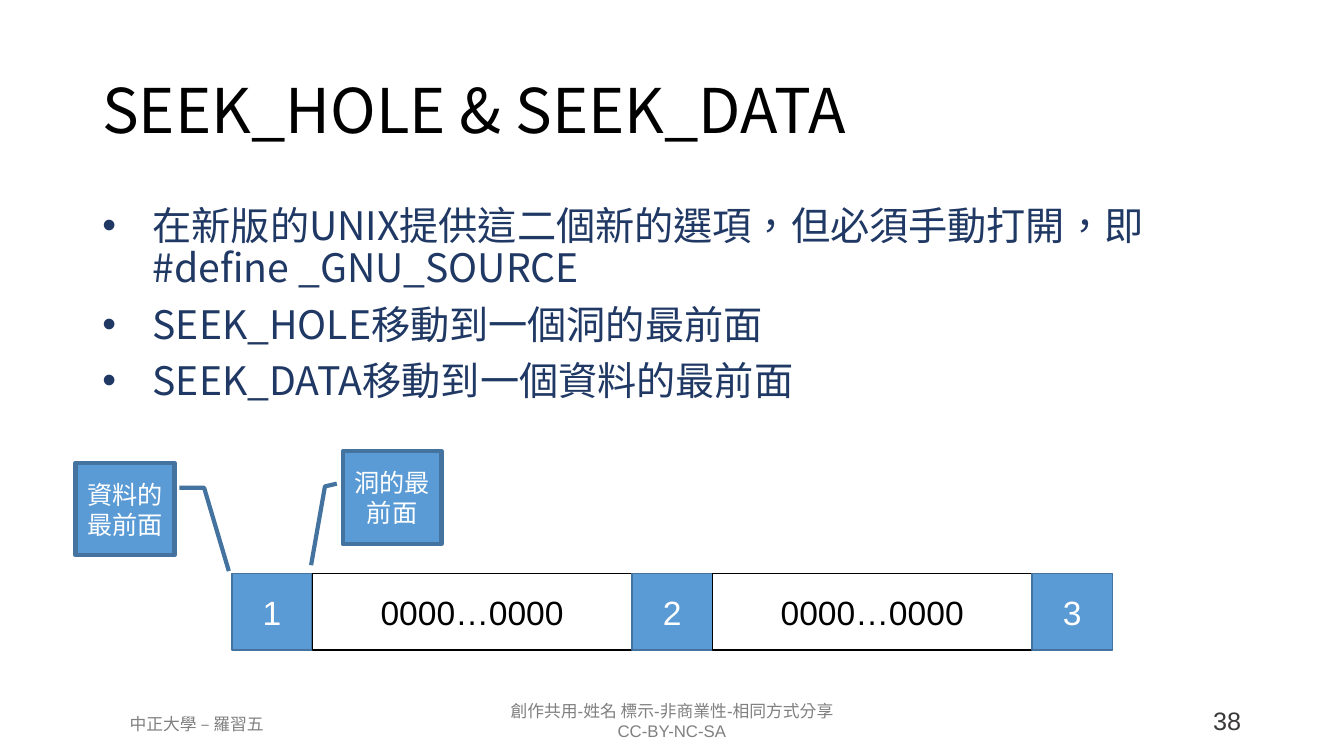
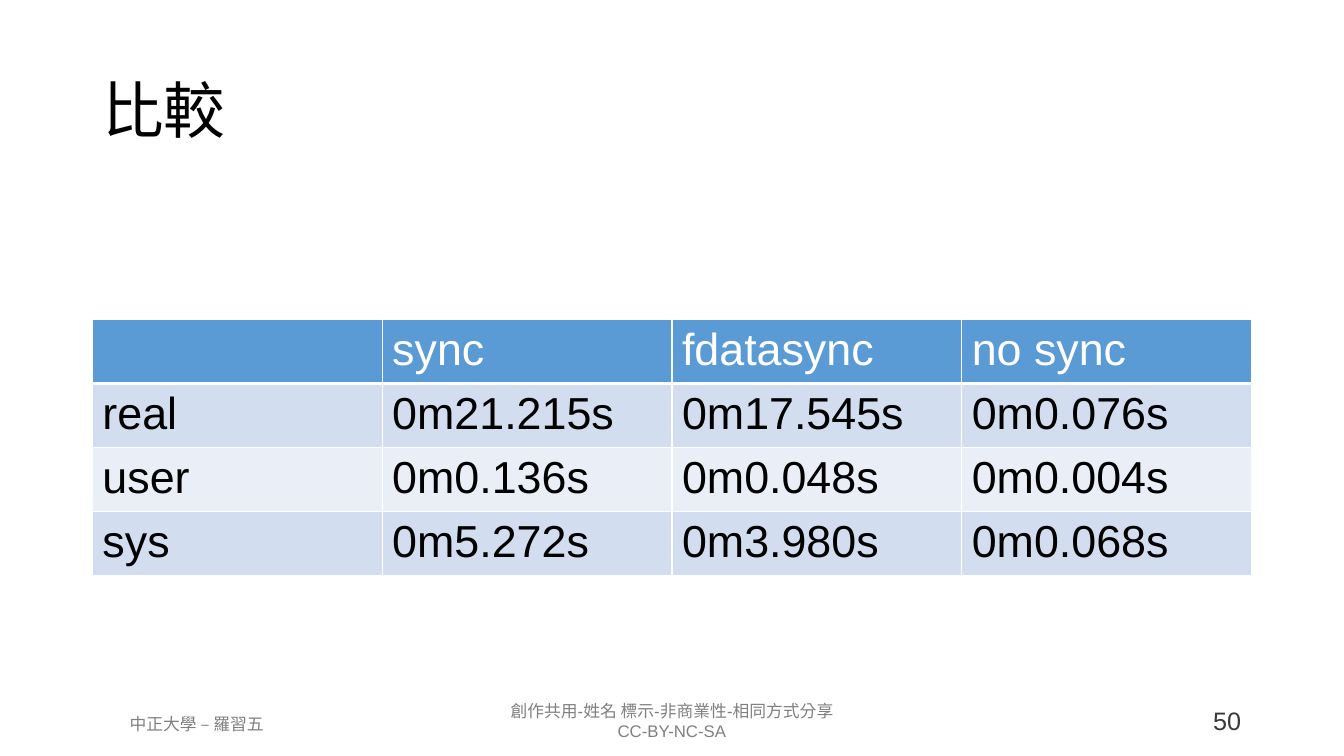
import pptx
import pptx.dml.color
import pptx.enum.lang
import pptx.enum.shapes
import pptx.enum.text
import pptx.oxml
import pptx.oxml.ns
import pptx.util

Pt = pptx.util.Pt
SHAPES = pptx.enum.shapes.MSO_SHAPE
ALIGN = pptx.enum.text.PP_ALIGN
ANCHOR = pptx.enum.text.MSO_ANCHOR

COLORS = {
    "white": "FFFFFF",
    "black": "000000",
    "footer": "808080",
    "number": "3B3838",
    "body": "203864",
    "accent": "5B9BD5",
    "outline": "43739E",
    "band_dark": "D2DEEF",
    "band_light": "EAEFF7",
}
LATIN_FONT = "Arial"
CJK_FONT = "Noto Sans CJK SC"
LEFT, WIDTH = 66, 828


def rgb(name):
    return pptx.dml.color.RGBColor.from_string(COLORS[name])


def add_element(parent, tag, **attributes):
    element = pptx.oxml.ns.qn(tag)
    child = parent.makeelement(element, attributes)
    parent.append(child)
    return child


def write_text(frame, text, size=18, color="black", font=LATIN_FONT, align=None,
               anchor=ANCHOR.TOP, line_spacing=None, space_before=0, bullet=None, indent=0):
    """Write one paragraph for each line of text."""
    frame.word_wrap = True
    frame.vertical_anchor = anchor
    for index, line in enumerate(text.split("\n")):
        paragraph = frame.paragraphs[0] if index == 0 else frame.add_paragraph()
        if bullet:
            properties = paragraph._p.get_or_add_pPr()
            properties.set("marL", str(Pt(indent)))
            properties.set("indent", str(-Pt(indent)))
            add_element(properties, "a:buFont", typeface=LATIN_FONT)
            add_element(properties, "a:buChar", char=bullet)
        if align is not None:
            paragraph.alignment = align
        if line_spacing:
            paragraph.line_spacing = line_spacing
        if index and space_before:
            paragraph.space_before = Pt(space_before)
        run = paragraph.add_run()
        run.text = line
        run.font.size = Pt(size)
        run.font.color.rgb = rgb(color)
        run.font.language_id = pptx.enum.lang.MSO_LANGUAGE_ID.TRADITIONAL_CHINESE
        run.font.name = font
        add_element(run._r.get_or_add_rPr(), "a:ea", typeface=CJK_FONT)


def add_text(slide, box, text, **text_format):
    shape = slide.shapes.add_textbox(*map(Pt, box))
    write_text(shape.text_frame, text, **text_format)


def add_block(shapes, kind, box, text, fill, line, line_width, **text_format):
    shape = shapes.add_shape(kind, *map(Pt, box))
    shape.shadow.inherit = False
    shape.fill.solid()
    shape.fill.fore_color.rgb = rgb(fill)
    shape.line.color.rgb = rgb(line)
    shape.line.width = Pt(line_width)
    write_text(shape.text_frame, text, align=ALIGN.CENTER, anchor=ANCHOR.MIDDLE, **text_format)
    return shape


def add_base_slide(presentation, title, number):
    """Blank slide with the shared title and footers."""
    slide = presentation.slides.add_slide(presentation.slide_layouts[6])
    add_text(slide, (303, 497, 354, 36), "創作共用-姓名 標示-非商業性-相同方式分享\nCC-BY-NC-SA",
             size=12, color="footer", align=ALIGN.CENTER)
    add_text(slide, (50, 506, 181, 22), "中正大學 – 羅習五",
             size=12, color="footer", align=ALIGN.CENTER)
    add_text(slide, (717, 500, 176.5, 29), str(number), color="number", align=ALIGN.RIGHT)
    add_text(slide, (LEFT, 28.8, WIDTH, 104.4), title, size=44, font=CJK_FONT,
             anchor=ANCHOR.MIDDLE, line_spacing=0.9)
    return slide


def add_file_layout(slide, left, top, height):
    """Row of data blocks with holes between them."""
    group = slide.shapes.add_group_shape()
    data_width, hole_width = 57.4, 228.4
    for text in ("1", "0000…0000", "2", "0000…0000", "3"):
        is_data = len(text) == 1
        width = data_width if is_data else hole_width
        fill, line, color = (("accent", "outline", "white") if is_data
                             else ("white", "black", "black"))
        add_block(group.shapes, SHAPES.RECTANGLE, (left, top, width, height), text,
                  fill, line, 1, size=24, color=color)
        left += width


def add_callout(slide, left, top, text, pointer):
    """Label whose bent line runs through the (y, x) fractions in pointer."""
    callout = add_block(slide.shapes, SHAPES.LINE_CALLOUT_2, (left, top, 70.6, 66.2), text,
                        "accent", "outline", 3, color="white")
    for index, value in enumerate(pointer):
        callout.adjustments[index] = value


def style_cell(cell, fill, bottom_width):
    properties = cell._tc.get_or_add_tcPr()
    for side, width in (("L", 1), ("R", 1), ("T", 1), ("B", bottom_width)):
        border = add_element(properties, "a:ln" + side, w=str(Pt(width)))
        solid = add_element(border, "a:solidFill")
        add_element(solid, "a:srgbClr", val=COLORS["white"])
    cell.fill.solid()
    cell.fill.fore_color.rgb = rgb(fill)


def add_timing_table(slide, left, top, width, row_height, rows):
    height = row_height * len(rows)
    table = slide.shapes.add_table(len(rows), len(rows[0]), Pt(left), Pt(top),
                                   Pt(width), Pt(height)).table
    for row_index, row in enumerate(rows):
        table.rows[row_index].height = Pt(row_height)
        is_header = row_index == 0
        band = "band_dark" if row_index % 2 else "band_light"
        for column_index, text in enumerate(row):
            cell = table.cell(row_index, column_index)
            style_cell(cell, "accent" if is_header else band, 3 if is_header else 1)
            if text:
                write_text(cell.text_frame, text, size=32,
                           color="white" if is_header else "black")


def build_seek_slide(presentation):
    slide = add_base_slide(presentation, "SEEK_HOLE & SEEK_DATA", 38)
    # Explanation
    add_text(slide, (LEFT, 144, WIDTH, 342.7),
             "在新版的UNIX提供這二個新的選項，但必須手動打開，即#define _GNU_SOURCE\n"
             "SEEK_HOLE移動到一個洞的最前面\n"
             "SEEK_DATA移動到一個資料的最前面",
             size=28, color="body", font=CJK_FONT, line_spacing=0.9,
             space_before=10, bullet="•", indent=36)
    # File diagram
    add_file_layout(slide, 165.6, 409.6, 54.7)
    add_callout(slide, 54, 330.5, "資料的最前面", (0.27, 1.05, 0.27, 1.3, 1.17, 1.55))
    add_callout(slide, 244.8, 322.3, "洞的最前面", (0.35, -0.06, 0.38, -0.18, 1.23, -0.32))


def build_comparison_slide(presentation):
    slide = add_base_slide(presentation, "比較", 50)
    # Timings
    add_timing_table(slide, LEFT, 228.4, WIDTH, 43, (
        ("", "sync", "fdatasync", "no sync"),
        ("real", "0m21.215s", "0m17.545s", "0m0.076s"),
        ("user", "0m0.136s", "0m0.048s", "0m0.004s"),
        ("sys", "0m5.272s", "0m3.980s", "0m0.068s"),
    ))


def main():
    presentation = pptx.Presentation()
    presentation.slide_width = Pt(960)
    presentation.slide_height = Pt(540)
    build_seek_slide(presentation)
    build_comparison_slide(presentation)
    presentation.save("out.pptx")


if __name__ == "__main__":
    main()
